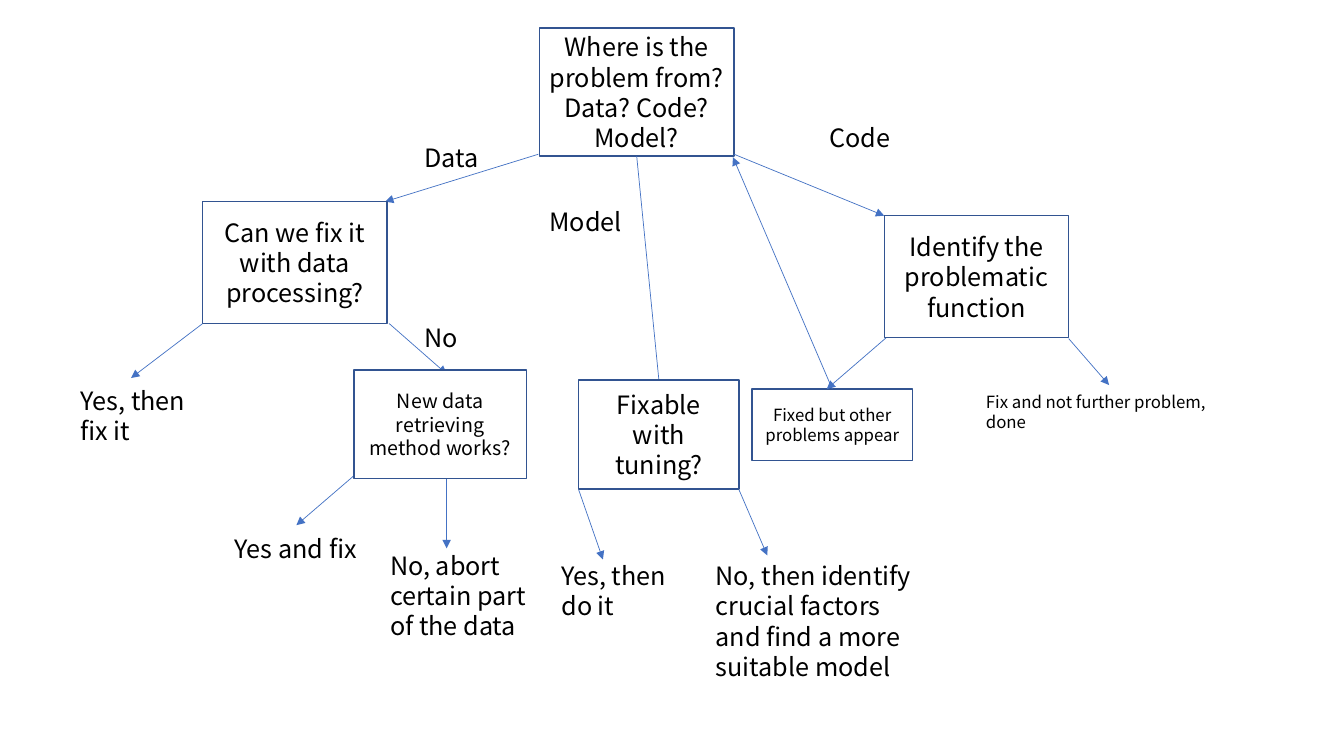
from pptx import Presentation
from pptx.dml.color import RGBColor
from pptx.enum.shapes import MSO_CONNECTOR, MSO_SHAPE
from pptx.enum.text import MSO_ANCHOR, MSO_AUTO_SIZE, PP_ALIGN
from pptx.oxml.ns import qn
from pptx.util import Inches, Pt
from lxml.etree import SubElement


def color(value):
    return RGBColor.from_string(value)


def add_words(page, paragraphs, left, top, width, height, size=18, framed=False):
    place = [Inches(length) for length in (left, top, width, height)]
    if framed:
        box = page.shapes.add_shape(MSO_SHAPE.RECTANGLE, *place)
        box.shadow.inherit = False
        box.fill.solid()
        box.fill.fore_color.rgb = color("FFFFFF")
        box.line.color.rgb = color("325491")
        box.line.width = Pt(1)
    else:
        box = page.shapes.add_textbox(*place)
    frame = box.text_frame
    frame.word_wrap = True
    frame.auto_size = MSO_AUTO_SIZE.NONE if framed else MSO_AUTO_SIZE.SHAPE_TO_FIT_TEXT
    frame.vertical_anchor = MSO_ANCHOR.MIDDLE if framed else MSO_ANCHOR.TOP
    for index, words in enumerate(paragraphs):
        para = frame.add_paragraph() if index else frame.paragraphs[0]
        para.alignment = PP_ALIGN.CENTER if framed else PP_ALIGN.LEFT
        span = para.add_run()
        span.text = words
        span.font.size = Pt(size)
        span.font.name = "Noto Sans CJK SC"
        span.font.color.rgb = color("000000")
    return box


deck = Presentation()
deck.slide_width = Inches(13.33)
deck.slide_height = Inches(7.5)
page = deck.slides.add_slide(deck.slide_layouts[6])

root = add_words(page, ["Where is the problem from?", "Data? Code? Model?"],
                 5.35, 0.28, 1.93, 1.27, framed=True)
other_problems = add_words(page, ["Fixed but other problems appear"],
                           7.46, 3.86, 1.59, 0.71, size=12, framed=True)

arrows = [
    (5.34, 1.53, 3.82, 2, None),
    (7.28, 1.53, 8.77, 2.14, None),
    (2.01, 3.21, 1.3, 3.75, None),
    (3.86, 3.21, 4.43, 3.71, None),
    (10.6, 3.36, 11, 3.82, None),
    (8.79, 3.35, 8.2, 3.86, None),
    (8.26, 3.86, 7.27, 1.56, (other_problems, 0)),
    (3.51, 4.72, 2.94, 5.21, None),
    (4.43, 4.75, 4.43, 5.44, None),
    (6.31, 1.54, 6.64, 4.83, (root, 2)),
    (5.74, 4.86, 5.98, 5.55, None),
    (7.33, 4.86, 7.61, 5.51, None),
]
for *ends, joint in arrows:
    arrow = page.shapes.add_connector(MSO_CONNECTOR.STRAIGHT, *[Inches(end) for end in ends])
    if joint:
        arrow.begin_connect(*joint)
    arrow.line.color.rgb = color("4472C4")
    arrow.line.width = Pt(0.5)
    SubElement(arrow.line._get_or_add_ln(), qn("a:tailEnd"), type="triangle")
    SubElement(arrow._element.spPr, qn("a:effectLst"))

questions = [
    ("Can we fix it with data processing?", 2.01, 2, 1.83, 1.21, 18),
    ("Identify the problematic function", 8.77, 2.14, 1.83, 1.21, 18),
    ("New data retrieving method works?", 3.51, 3.67, 1.71, 1.08, 14),
    ("Fixable with tuning?", 5.74, 3.77, 1.59, 1.08, 18),
]
for words, *place in questions:
    add_words(page, [words], *place, framed=True)

labels = [
    ("Data", 4.11, 1.36, 0.86, 0.4, 18),
    ("Code", 8.13, 1.16, 0.82, 0.4, 18),
    ("Model", 5.35, 2, 0.92, 0.4, 18),
    ("No", 4.11, 3.15, 0.81, 0.4, 18),
    ("Yes, then fix it", 0.7, 3.77, 1.39, 0.71, 18),
    ("Fix and not further problem, done", 9.68, 3.84, 2.65, 0.5, 12),
    ("Yes and fix", 2.23, 5.24, 1.43, 0.4, 18),
    ("No, abort certain part of the data", 3.77, 5.41, 1.58, 1.01, 18),
    ("Yes, then do it", 5.47, 5.51, 1.3, 0.71, 18),
    ("No, then identify crucial factors and find a more suitable model",
     7, 5.51, 2.21, 1.31, 18),
]
for words, *place in labels:
    add_words(page, [words], *place)

deck.save("out.pptx")
